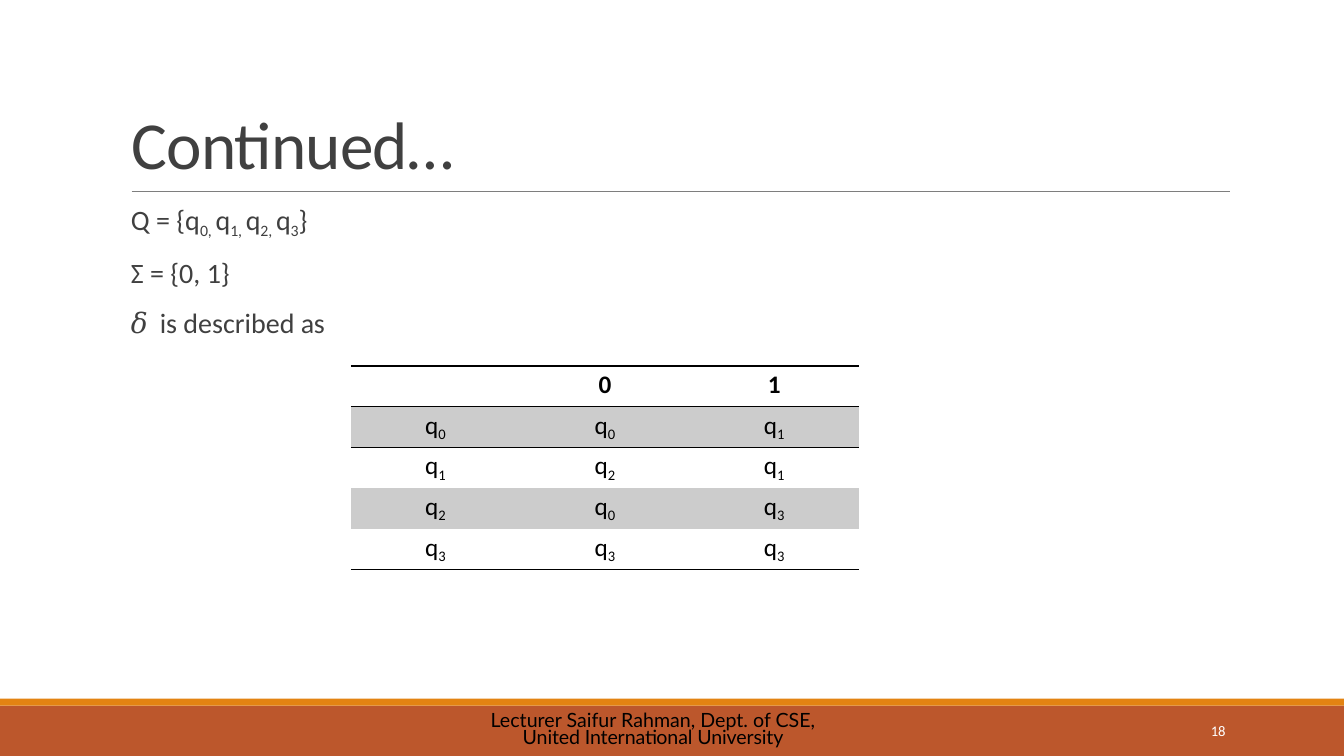
from pptx import Presentation
from pptx.dml.color import RGBColor
from pptx.enum.shapes import MSO_CONNECTOR, MSO_SHAPE
from pptx.enum.text import MSO_ANCHOR, MSO_AUTO_SIZE, PP_ALIGN
from pptx.oxml import parse_xml
from pptx.oxml.ns import nsdecls, qn
from pptx.util import Pt

LINE, RECT = MSO_CONNECTOR.STRAIGHT, MSO_SHAPE.RECTANGLE
TOP, NO_FIT = MSO_ANCHOR.TOP, MSO_AUTO_SIZE.NONE
LEFT, CENTER = PP_ALIGN.LEFT, PP_ALIGN.CENTER
COLORS = {"rust": "BC572C", "orange": "E38312", "rule": "7E7E7E", "text": "404040",
          "black": "000000", "white": "FFFFFF", "band": "CCCCCC"}
PLAIN_TABLE = "{2D5ABB26-0587-4C30-8999-92F81FD0307C}"


def rgb(name):
    return RGBColor.from_string(COLORS[name])


class Deck:
    font = "Calibri"

    def __init__(self, prs):
        self.s = prs.slides.add_slide(prs.slide_layouts[5])

    def style(self, r, size, color, font=None, bold=False, spacing=0, sub=False):
        f = r.font
        f.name, f.size, f.bold = font or self.font, Pt(size), bold
        f.color.rgb = rgb(color)
        rPr = r._r.get_or_add_rPr()
        if spacing:
            rPr.set("spc", str(round(spacing * 100)))
        if sub:
            rPr.set("baseline", "-21000")

    def frame(self, tf, left=0, top=0):
        tf.margin_left, tf.margin_top = Pt(left), Pt(top)
        tf.margin_right = tf.margin_bottom = 0
        tf.word_wrap, tf.auto_size, tf.vertical_anchor = True, NO_FIT, TOP

    def title(self, text, box):
        sp = self.s.shapes.title
        sp.left, sp.top, sp.width, sp.height = map(Pt, box)
        self.frame(sp.text_frame, 1, 1)
        sp.text_frame.text = text
        p = sp.text_frame.paragraphs[0]
        p.alignment = LEFT
        self.style(p.runs[0], 48, "text", spacing=-0.6)

    def bar(self, box, color):
        sp = self.s.shapes.add_shape(RECT, *map(Pt, box))
        sp.shadow.inherit = False
        sp.fill.solid()
        sp.fill.fore_color.rgb = rgb(color)
        sp.line.fill.background()

    def rule(self, x1, x2, y):
        line = self.s.shapes.add_connector(LINE, Pt(x1), Pt(y), Pt(x2), Pt(y))
        line.line.color.rgb = rgb("rule")
        line.line.width = Pt(0.48)
        line._element.spPr.append(parse_xml(f"<a:effectLst {nsdecls('a')}/>"))

    def text(self, box, paragraphs, size, color, left=0, top=0, align=LEFT,
             before=0, leading=None, font=None):
        """Each paragraph is a list of (text, run options)."""
        tf = self.s.shapes.add_textbox(*map(Pt, box)).text_frame
        self.frame(tf, left, top)
        for i, runs in enumerate(paragraphs):
            p = tf.add_paragraph() if i else tf.paragraphs[0]
            p.alignment = align
            if i:
                p.space_before = Pt(before)
            if leading:
                p.line_spacing = Pt(leading)
            for text, options in runs:
                r = p.add_run()
                r.text = text
                self.style(r, **{"size": size, "color": color, "font": font, **options})

    def border(self, cell, side):
        tcPr = cell._tc.get_or_add_tcPr()
        tcPr.append(parse_xml(
            f'<a:{side} {nsdecls("a")} w="12700"><a:solidFill>'
            f'<a:srgbClr val="{COLORS["black"]}"/></a:solidFill></a:{side}>'))

    def table(self, left, top, col_width, row_height, rows):
        n, m = len(rows), len(rows[0])
        table = self.s.shapes.add_table(n, m, Pt(left), Pt(top), Pt(col_width * m),
                                        Pt(row_height * n)).table
        table.first_row = table.horz_banding = False
        table._tbl.tblPr.find(qn("a:tableStyleId")).text = PLAIN_TABLE
        for col in table.columns:
            col.width = Pt(col_width)
        for i, row in enumerate(rows):
            table.rows[i].height = Pt(row_height)
            for j, value in enumerate(row):
                self.cell(table.cell(i, j), value, i, i == n - 1)

    def cell(self, cell, value, row, last):
        cell.margin_left = cell.margin_right = cell.margin_bottom = 0
        cell.margin_top = Pt(2.5)
        # Lines frame the header and the first state, and close the table
        if row <= 1:
            self.border(cell, "lnT")
        if row <= 1 or last:
            self.border(cell, "lnB")
        if row % 2:
            cell.fill.solid()
            cell.fill.fore_color.rgb = rgb("band")
        else:
            cell.fill.background()
        p = cell.text_frame.paragraphs[0]
        p.alignment = CENTER
        # A state is a letter followed by its index
        for k, char in enumerate(value):
            r = p.add_run()
            r.text = char
            self.style(r, 18, "black", bold=row == 0, sub=k > 0, spacing=-0.3)


def main():
    prs = Presentation()
    prs.slide_width, prs.slide_height = Pt(960), Pt(540)
    deck = Deck(prs)

    # Footer bars and title rule
    deck.bar((0, 504, 960, 36), "rust")
    deck.bar((0, 499, 960, 5), "orange")
    deck.rule(94, 878.5, 136.5)

    # Title
    deck.title("Continued…", (93, 72, 704, 60))

    # Definition of the automaton
    sub, tight = {"size": 19.5, "sub": True}, {"spacing": -0.2}
    states = [("Q = {q", {}), ("0, ", sub), ("q", {}), ("1, ", sub), ("q", {}),
              ("2, ", sub), ("q", tight), ("3", {**sub, "spacing": -0.4}), ("}", tight)]
    alphabet = [("Σ = {0, ", {}), ("1}", tight)]
    delta = [("𝛿 ", {"font": "Times New Roman"}), ("is described", {}), (" as", tight)]
    deck.text((90.5, 132.5, 146, 109), [states, alphabet, delta], 20, "text",
              left=3, top=12.4, before=11.6)

    # Transition table
    deck.table(250.6, 261.4, 121, 29.1, [
        ("", "0", "1"),
        ("q0", "q0", "q1"),
        ("q1", "q2", "q1"),
        ("q2", "q0", "q3"),
        ("q3", "q3", "q3"),
    ])

    # Lecturer and slide number
    deck.text((339, 509.8, 255, 25), [[("Lecturer Saifur Rahman, Dept. of CSE, ", {}),
                                      ("United International University", {"spacing": -0.1})]],
              14, "black", align=CENTER, leading=12.4, font="Lato")
    deck.text((864, 517.5, 16, 12), [[("18", tight)]], 10.5, "white", left=1, leading=11)

    prs.save("out.pptx")


if __name__ == "__main__":
    main()
